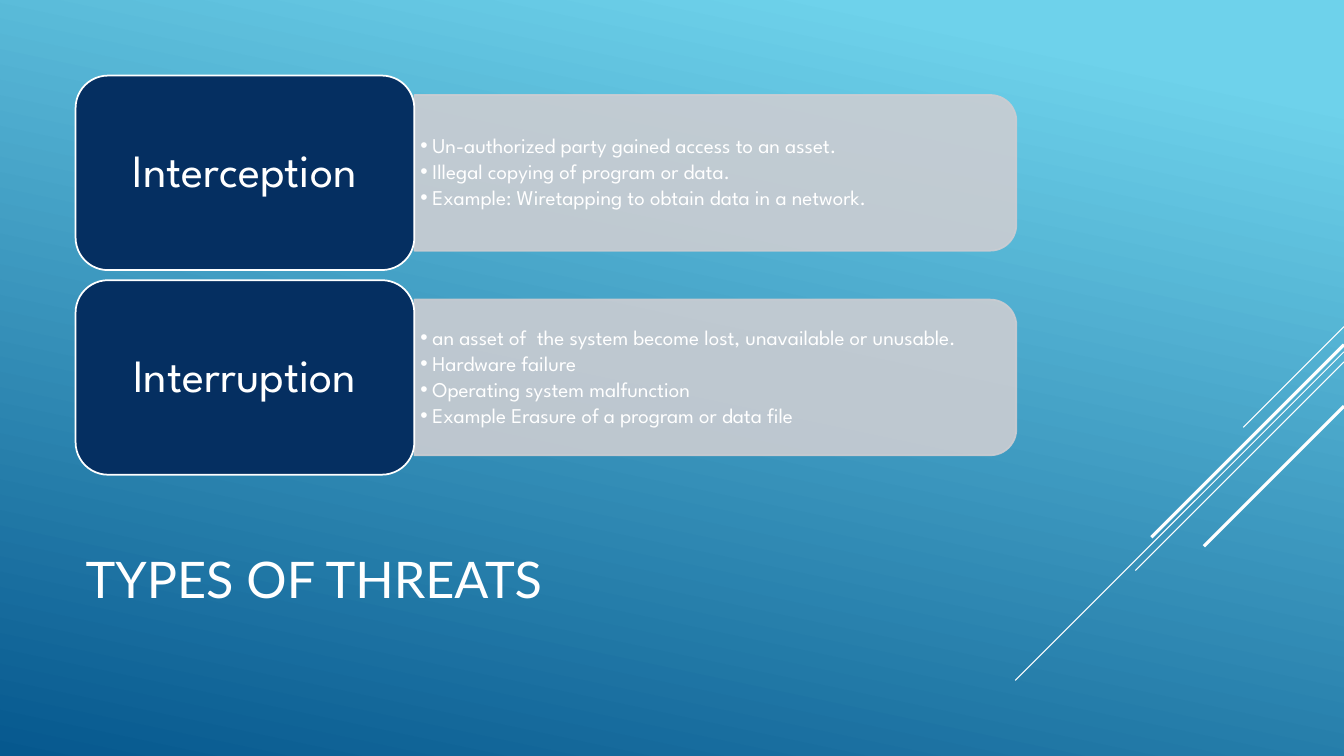
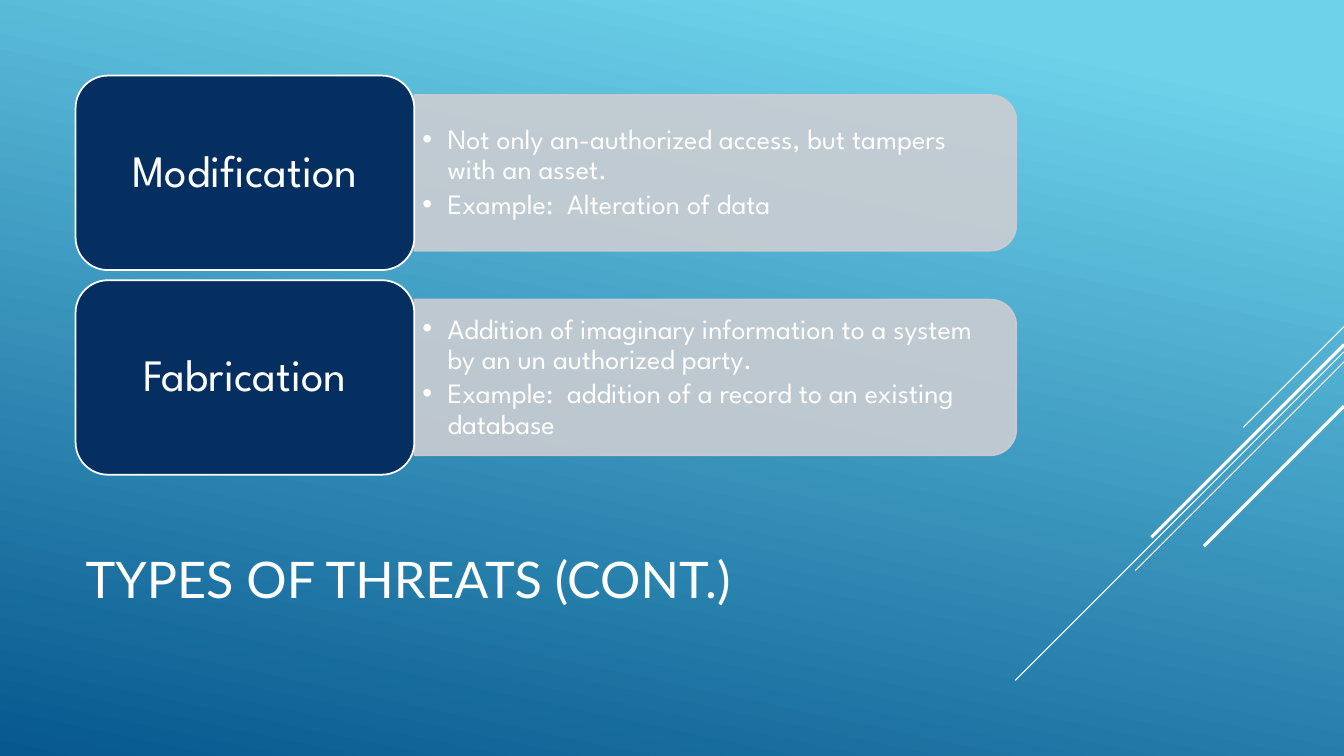
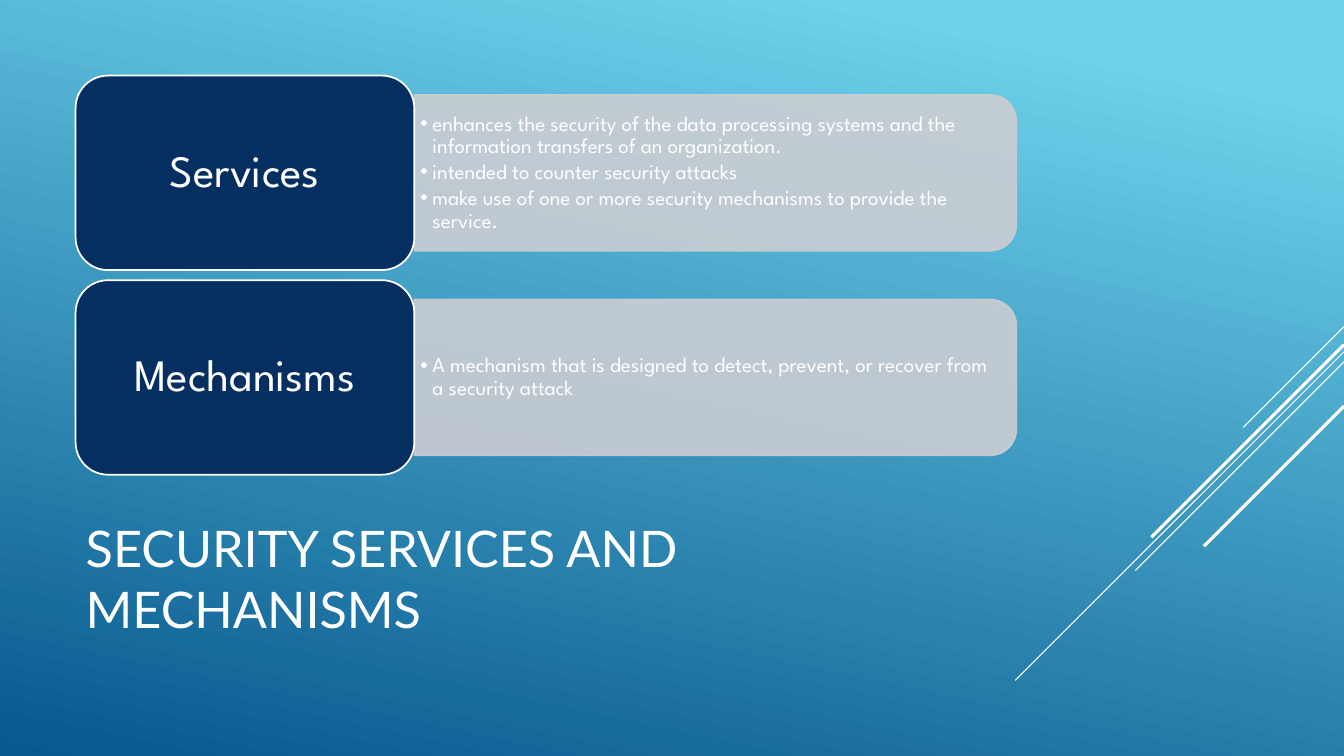
from lxml.etree import SubElement
from pptx import Presentation
from pptx.dml.color import RGBColor
from pptx.enum.shapes import MSO_CONNECTOR, MSO_SHAPE
from pptx.enum.text import MSO_ANCHOR, MSO_AUTO_SIZE, PP_ALIGN
from pptx.oxml.ns import qn
from pptx.util import Inches, Pt

WIDTH, HEIGHT = 13.33, 7.5
WHITE, NAVY, SILVER = "FFFFFF", "052F61", "CCCDD2"
SKY, OCEAN = "6ED2EB", "06588E"
TITLE_FONT, BODY_FONT = "Lato", "League Spartan"

MARGIN, CONTENT_WIDTH = 0.75, 9.33
CARD_WIDTH, CARD_HEIGHT, CARD_GAP = 3.36, 1.93, 0.1
BAND_HEIGHT = CARD_HEIGHT * 0.8
BAND_WIDTH = CONTENT_WIDTH - CARD_WIDTH

# Diagonals run from the right edge: start height, run to the lower left, weight
DIAGONALS = [
    (3.24, 1.0, 0.75),
    (3.49, 3.26, 0.75),
    (3.59, 2.07, 0.75),
    (3.42, 1.91, 2.25),
    (4.03, 1.39, 2.25),
]

SLIDES = [
    {
        "title": "TYPES OF THREATS",
        "label_size": 33, "body_size": 15, "indent": 0.12,
        "cards": [
            ("Interception", [
                "Un-authorized party gained access to an asset.",
                "Illegal copying of program or data.",
                "Example: Wiretapping to obtain data in a network.",
            ]),
            ("Interruption", [
                "an asset of  the system become lost, unavailable or unusable.",
                "Hardware failure",
                "Operating system malfunction",
                "Example Erasure of a program or data file",
            ]),
        ],
    },
    {
        "title": "TYPES OF THREATS (CONT.)",
        "label_size": 32, "body_size": 20, "indent": 0.25,
        "cards": [
            ("Modification", [
                "Not only an-authorized access, but tampers with an asset.",
                "Example:  Alteration of data",
            ]),
            ("Fabrication", [
                "Addition of imaginary information to a system by an un authorized party.",
                "Example:  addition of a record to an existing database",
            ]),
        ],
    },
    {
        "title": "SECURITY SERVICES AND MECHANISMS",
        "label_size": 32, "body_size": 15, "indent": 0.12,
        "cards": [
            ("Services", [
                "enhances the security of the data processing systems and the "
                "information transfers of an organization.",
                "intended to counter security attacks",
                "make use of one or more security mechanisms to provide the service.",
            ]),
            ("Mechanisms", [
                "A mechanism that is designed to detect, prevent, or recover from "
                "a security attack",
            ]),
        ],
    },
]


def color(value):
    return RGBColor.from_string(value)


def inches(*lengths):
    return [Inches(length) for length in lengths]


def write(box, lines, size, font=BODY_FONT, align=PP_ALIGN.LEFT, inset=(0.1, 0.05),
          spacing=0.9, after=0, indent=0):
    """Fill a shape with paragraphs; after is a percentage, indent adds bullets."""
    frame = box.text_frame
    frame.word_wrap = True
    frame.auto_size = MSO_AUTO_SIZE.NONE
    frame.vertical_anchor = MSO_ANCHOR.MIDDLE
    frame.margin_left = frame.margin_right = Inches(inset[0])
    frame.margin_top = frame.margin_bottom = Inches(inset[1])
    for index, line in enumerate(lines):
        para = frame.paragraphs[0] if index == 0 else frame.add_paragraph()
        para.alignment, para.line_spacing = align, spacing
        span = para.add_run()
        span.text = line
        span.font.size, span.font.name = Pt(size), font
        span.font.color.rgb = color(WHITE)
        props = para._p.get_or_add_pPr()
        if after:
            space = SubElement(props, qn("a:spcAft"))
            SubElement(space, qn("a:spcPct"), val=str(after * 1000))
        if indent:
            props.set("marL", str(Inches(indent)))
            props.set("indent", str(-Inches(indent)))
            SubElement(props, qn("a:buFont"), typeface="Arial")
            SubElement(props, qn("a:buChar"), char="•")


def add_box(slide, kind, place, fill, line):
    box = slide.shapes.add_shape(kind, *inches(*place))
    box.shadow.inherit = False
    box.fill.solid()
    box.fill.fore_color.rgb = color(fill)
    box.line.color.rgb = color(line)
    box.line.width = Pt(1.25)
    return box


def paint_background(layout):
    fill = layout.background.fill
    fill.gradient()
    fill.gradient_angle = 360 - 102
    for stop, position, value in zip(fill.gradient_stops, (0.1, 1), (SKY, OCEAN)):
        stop.position = position
        stop.color.rgb = color(value)


def add_diagonals(slide, layout):
    """Draw the diagonals and hand them to the layout, so every slide shows them."""
    for number, (top, run, weight) in enumerate(DIAGONALS):
        line = slide.shapes.add_connector(
            MSO_CONNECTOR.STRAIGHT, *inches(WIDTH, top, WIDTH - run, top + run))
        line.line.color.rgb = color(WHITE)
        line.line.width = Pt(weight)
        SubElement(line.element.spPr, qn("a:effectLst"))
        line.element.nvCxnSpPr.cNvPr.set("id", str(100 + number))
        layout.shapes.element.append(line.element)


def add_title(slide, text):
    title = slide.shapes.title
    title.left, title.top, title.width, title.height = inches(
        MARGIN, 4.91, CONTENT_WIDTH, 1.65)
    write(title, [text], 36, font=TITLE_FONT, spacing=1.0)


def add_card(slide, row, label, points, label_size, body_size, indent):
    top = MARGIN + row * (CARD_HEIGHT + CARD_GAP)
    middle = top + CARD_HEIGHT / 2
    band_left = MARGIN + CARD_WIDTH

    # The band stands upright before its quarter turn
    band = add_box(slide, MSO_SHAPE.ROUND_2_SAME_RECTANGLE,
                   (band_left + (BAND_WIDTH - BAND_HEIGHT) / 2, middle - BAND_WIDTH / 2,
                    BAND_HEIGHT, BAND_WIDTH), SILVER, SILVER)
    band.rotation = 90
    for paint in list(band.element.spPr.iter(qn("a:srgbClr"))):
        SubElement(paint, qn("a:alpha"), val="90000")

    body = slide.shapes.add_textbox(*inches(
        band_left, middle - BAND_HEIGHT * 0.45, BAND_WIDTH - 0.07, BAND_HEIGHT * 0.9))
    write(body, points, body_size, after=15, indent=indent,
          inset=(body_size * 0.004, body_size * 0.002))

    card = add_box(slide, MSO_SHAPE.ROUNDED_RECTANGLE,
                   (MARGIN, top, CARD_WIDTH, CARD_HEIGHT), NAVY, WHITE)
    write(card, [label], label_size, align=PP_ALIGN.CENTER, after=35, inset=(0.13, 0.07))


def main():
    deck = Presentation()
    deck.slide_width, deck.slide_height = inches(WIDTH, HEIGHT)
    layout = deck.slide_layouts[5]
    paint_background(layout)
    for number, content in enumerate(SLIDES):
        slide = deck.slides.add_slide(layout)
        if number == 0:
            add_diagonals(slide, layout)
        add_title(slide, content["title"])
        for row, (label, points) in enumerate(content["cards"]):
            add_card(slide, row, label, points, content["label_size"],
                     content["body_size"], content["indent"])
    deck.save("out.pptx")


if __name__ == "__main__":
    main()
